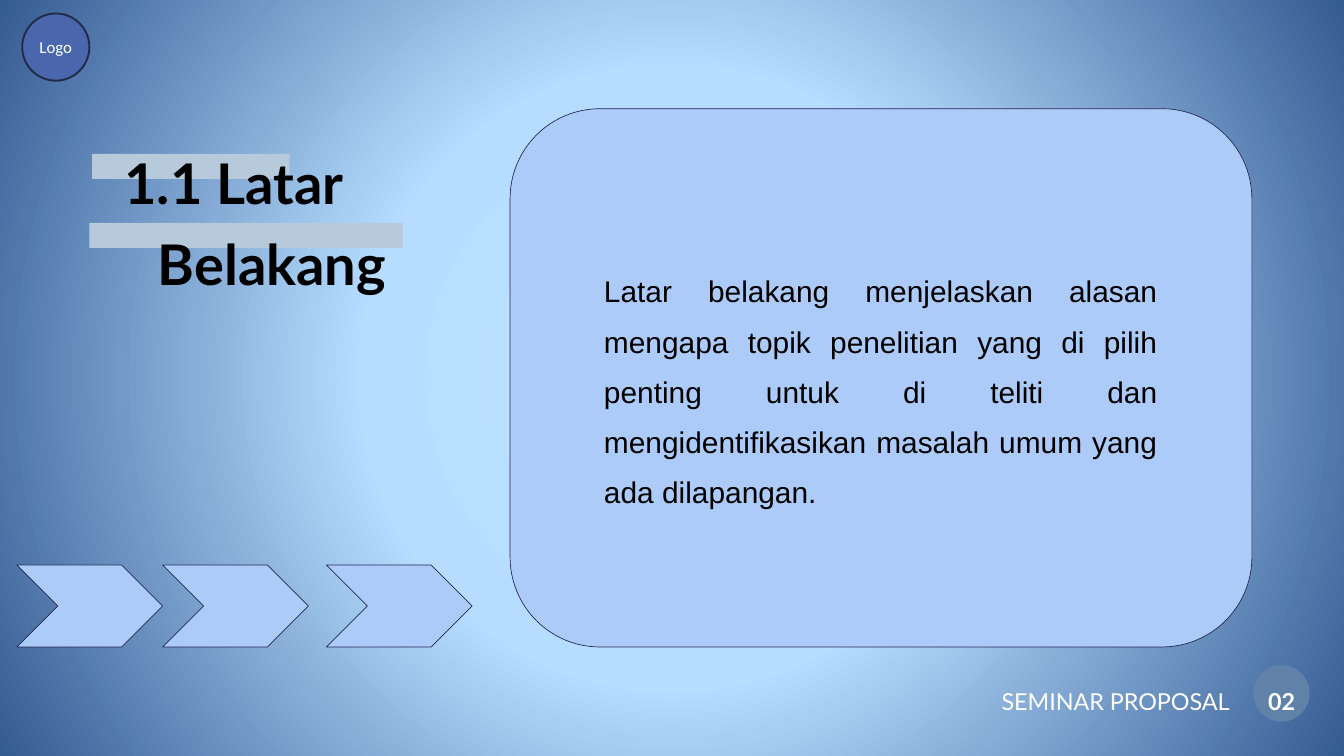
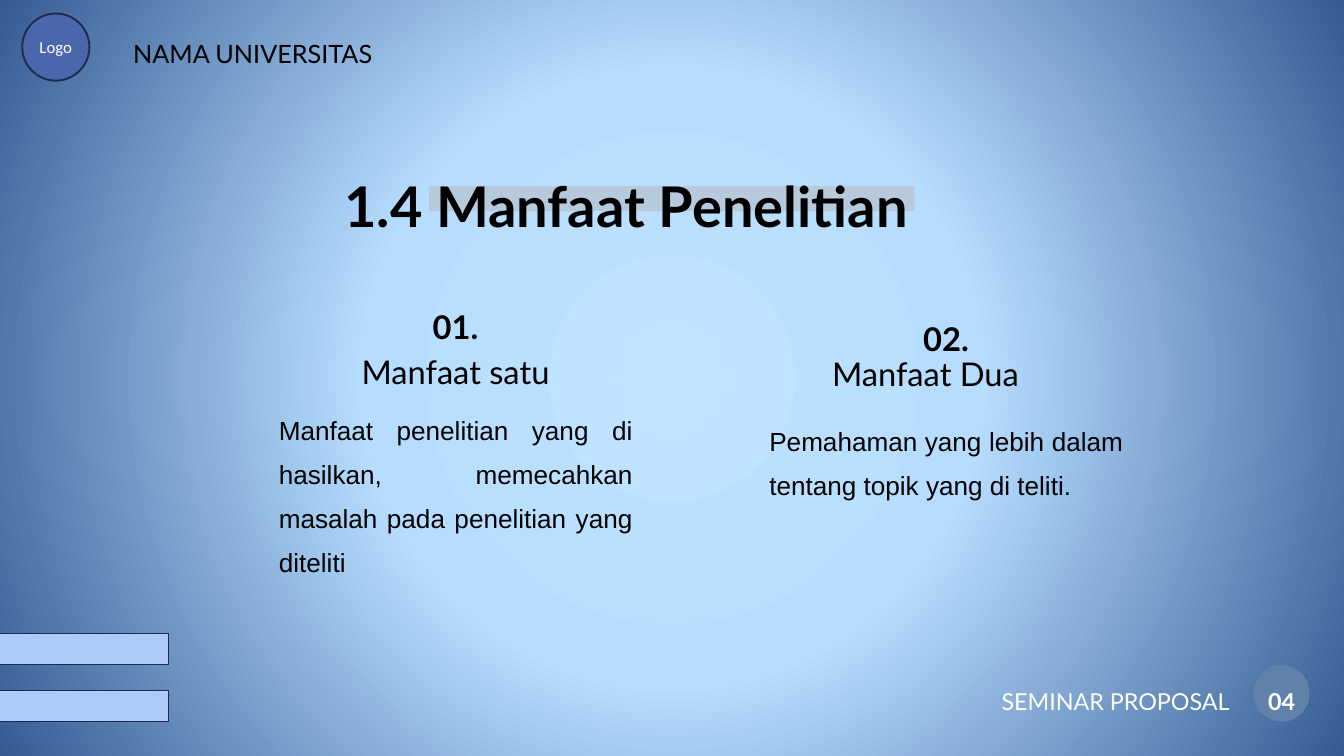
import dataclasses

import pptx
import pptx.dml.color
import pptx.enum.shapes
import pptx.enum.text
import pptx.oxml
import pptx.oxml.ns
import pptx.util

Cm = pptx.util.Cm
SHAPE = pptx.enum.shapes.MSO_SHAPE
ALIGN = pptx.enum.text.PP_ALIGN
ANCHOR = pptx.enum.text.MSO_ANCHOR
FIT = pptx.enum.text.MSO_AUTO_SIZE


@dataclasses.dataclass(frozen=True)
class Theme:
    """Colours, fonts and type sizes shared by the slides."""
    ink: str = "000000"
    white: str = "FFFFFF"
    pale_blue: str = "ACCBF9"
    outline: str = "242852"
    highlight: str = "B7CADB"
    page_disc: str = "6182A8"
    logo_fill: str = "4A66AC"
    logo_line: str = "1F2B48"
    backdrop: tuple = ((0, "C0E3FF"), (40, "B6DDFF"), (100, "355B93"))
    heading_font: str = "Lato"
    body_font: str = "Arial"
    logo_font: str = "Calibri"
    title_size: int = 60
    benefit_size: int = 35
    panel_size: int = 32
    body_size: int = 28
    university_size: int = 27
    footer_size: int = 25
    logo_size: int = 18


THEME = Theme()


def rgb(colour):
    """Turn a hex string into a colour."""
    return pptx.dml.color.RGBColor.from_string(colour)


def paint_backdrop(slide):
    """Fill the slide with the radial blue gradient."""
    slide.background.fill.solid()
    solid = slide.element.xpath(".//p:bgPr/a:solidFill")[0]
    stops = "".join(
        f'<a:gs pos="{percent * 1000}"><a:srgbClr val="{colour}"/></a:gs>'
        for percent, colour in THEME.backdrop)
    gradient = pptx.oxml.parse_xml(
        f'<a:gradFill {pptx.oxml.ns.nsdecls("a")} rotWithShape="1"><a:gsLst>{stops}</a:gsLst>'
        '<a:path path="circle"><a:fillToRect l="50000" t="50000" r="50000" b="50000"/></a:path>'
        '</a:gradFill>')
    solid.getparent().replace(solid, gradient)


def add_figure(slide, preset, box, fill, line=None, weight=0.75):
    """Add a flat preset shape, outlined if a line colour is given."""
    figure = slide.shapes.add_shape(preset, *map(Cm, box))
    figure.shadow.inherit = False
    figure.fill.solid()
    figure.fill.fore_color.rgb = rgb(fill)
    if line:
        figure.line.color.rgb = rgb(line)
        figure.line.width = pptx.util.Pt(weight)
    else:
        figure.line.fill.background()
    return figure


def add_highlight(slide, left, top, width):
    """Add a marker stripe behind a title line."""
    add_figure(slide, SHAPE.RECTANGLE, (left, top, width, 0.94), THEME.highlight)


def style_text(frame, text, size, font, colour=THEME.ink, bold=False,
               align=ALIGN.LEFT, spacing=1.4):
    """Write one paragraph into a frame and format it."""
    frame.text = text
    paragraph = frame.paragraphs[0]
    paragraph.alignment = align
    paragraph.line_spacing = spacing
    for run in paragraph.runs:
        run.font.size = pptx.util.Pt(size)
        run.font.name = font
        run.font.bold = bold
        run.font.color.rgb = rgb(colour)


def fit_frame(frame):
    """Make a frame wrap, start at its top and have no margins."""
    frame.word_wrap = True
    frame.auto_size = FIT.SHAPE_TO_FIT_TEXT
    frame.vertical_anchor = ANCHOR.TOP
    frame.margin_left = frame.margin_top = frame.margin_right = frame.margin_bottom = 0


def add_text(slide, box, text, size, font=THEME.heading_font, **style):
    """Add a text box."""
    frame = slide.shapes.add_textbox(*map(Cm, box)).text_frame
    fit_frame(frame)
    style_text(frame, text, size, font, **style)


def set_title(slide, box, text, hanging=0, **style):
    """Place the title placeholder in front and format it."""
    title = slide.shapes.title
    title.left, title.top, title.width, title.height = map(Cm, box)
    fit_frame(title.text_frame)
    style_text(title.text_frame, text, THEME.title_size, THEME.heading_font,
               bold=True, **style)
    if hanging:
        properties = title.text_frame.paragraphs[0]._p.get_or_add_pPr()
        properties.set("marL", str(Cm(hanging)))
        properties.set("indent", str(-Cm(hanging)))
    title.element.getparent().append(title.element)


def add_logo(slide):
    """Add the round logo holder."""
    logo = add_figure(slide, SHAPE.OVAL, (0.84, 0.51, 2.54, 2.54),
                      THEME.logo_fill, THEME.logo_line, 2)
    logo.text_frame.vertical_anchor = ANCHOR.MIDDLE
    style_text(logo.text_frame, "Logo", THEME.logo_size, THEME.logo_font,
               THEME.white, align=ALIGN.CENTER, spacing=1.0)


def add_footer(slide, number):
    """Add the seminar label and the page number on its disc."""
    add_figure(slide, SHAPE.OVAL, (47.37, 25.15, 2.13, 2.13), THEME.page_disc)
    add_text(slide, (47.32, 25.55, 2.24, 1.17), number, THEME.footer_size,
             colour=THEME.white, bold=True, align=ALIGN.CENTER)
    add_text(slide, (36.09, 25.55, 10.39, 1.07), "SEMINAR PROPOSAL", THEME.footer_size,
             colour=THEME.white, align=ALIGN.RIGHT)


def start_slide(deck, number):
    """Add a title-only slide with the shared backdrop, logo and footer."""
    slide = deck.slides.add_slide(deck.slide_layouts[5])
    paint_backdrop(slide)
    add_logo(slide)
    add_footer(slide, number)
    return slide


def add_benefit(slide, number, number_at, name, name_at, name_align, detail, detail_at):
    """Add a numbered benefit with its name and explanation."""
    add_text(slide, (*number_at, 3.66, 1.65), number, THEME.benefit_size,
             bold=True, align=ALIGN.CENTER)
    add_text(slide, (*name_at, 9.3, 1.68), name, THEME.benefit_size, align=name_align)
    add_text(slide, (*detail_at, 13.36, 4.55), detail, THEME.body_size, THEME.body_font,
             align=ALIGN.JUSTIFY)


def build_background(deck):
    """Build the slide on the background of the research."""
    slide = start_slide(deck, "02")
    add_highlight(slide, 3.48, 5.82, 7.47)
    add_highlight(slide, 3.38, 8.43, 11.84)
    set_title(slide, (4.7, 5.11, 11.73, 5.64), "1.1 Latar Belakang", hanging=1.27, spacing=1.2)
    panel = add_figure(slide, SHAPE.ROUNDED_RECTANGLE, (19.28, 4.11, 28.04, 20.35),
                       THEME.pale_blue, THEME.outline)
    panel.adjustments[0] = 0.167
    add_text(slide, (22.83, 9.78, 20.93, 9.04),
             "Latar belakang menjelaskan alasan mengapa topik penelitian yang di pilih "
             "penting untuk di teliti dan mengidentifikasikan masalah umum yang ada dilapangan.",
             THEME.panel_size, THEME.body_font, align=ALIGN.JUSTIFY)
    for left in (0.64, 6.15, 12.34):
        add_figure(slide, SHAPE.CHEVRON, (left, 21.36, 5.51, 3.1),
                   THEME.pale_blue, THEME.outline)


def build_benefits(deck):
    """Build the slide on the benefits of the research."""
    slide = start_slide(deck, "04")
    add_highlight(slide, 16.21, 7.04, 18.36)
    set_title(slide, (11.56, 5.46, 24.21, 2.57), "1.4 Manfaat Penelitian", align=ALIGN.CENTER)
    add_text(slide, (5.03, 1.19, 9.14, 2.31), "NAMA UNIVERSITAS", THEME.university_size,
             align=ALIGN.JUSTIFY, spacing=1.24)
    add_benefit(slide, "01.", (15.39, 11.02), "Manfaat satu", (12.57, 12.7), ALIGN.CENTER,
                "Manfaat penelitian yang di hasilkan, memecahkan masalah pada penelitian "
                "yang diteliti", (10.54, 15.21))
    add_benefit(slide, "02.", (33.93, 11.46), "Manfaat Dua", (31.45, 12.8), ALIGN.JUSTIFY,
                "Pemahaman yang lebih dalam tentang topik yang di teliti.", (29.08, 15.6))
    for top in (23.95, 26.11):
        add_figure(slide, SHAPE.RECTANGLE, (-6.99, top, 13.36, 1.17),
                   THEME.pale_blue, THEME.outline)


def main():
    """Build and save the presentation."""
    deck = pptx.Presentation()
    deck.slide_width, deck.slide_height = Cm(50.8), Cm(28.58)
    build_background(deck)
    build_benefits(deck)
    deck.save("out.pptx")


if __name__ == "__main__":
    main()
